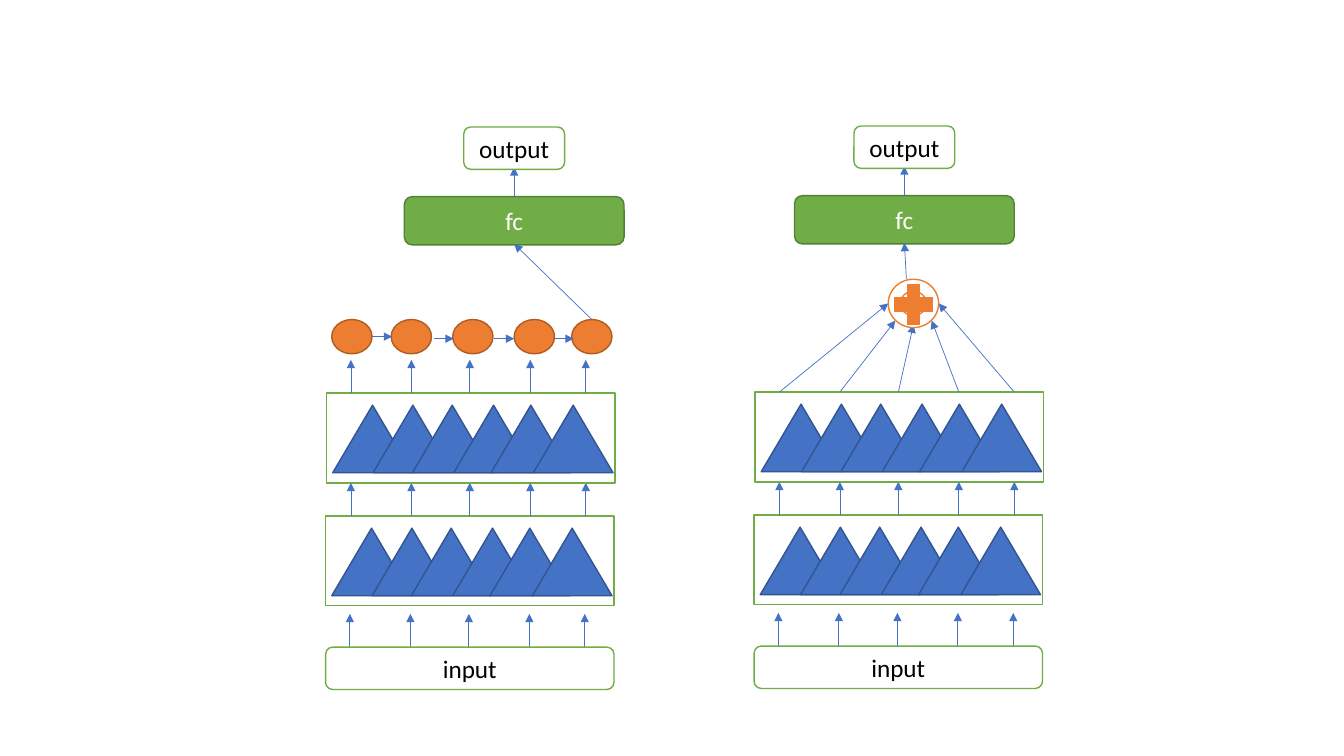
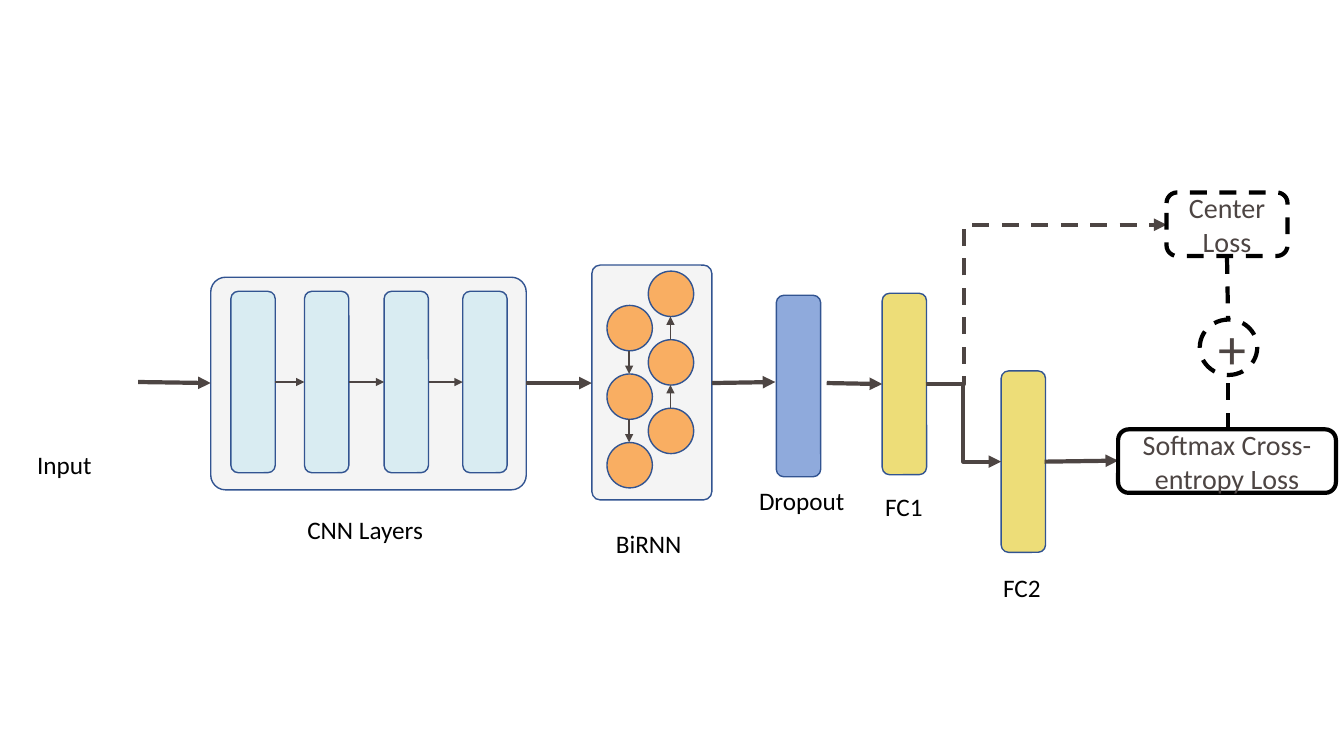
from dataclasses import dataclass
from itertools import pairwise
from typing import NamedTuple, Optional

from lxml import etree
from pptx import Presentation
from pptx import util as u
from pptx.dml.color import RGBColor
from pptx.enum import dml, shapes, text
from pptx.oxml import ns

KIND = shapes.MSO_SHAPE


class Stroke(NamedTuple):
    colour: str
    width: float = 1
    dashed: bool = False


class Look(NamedTuple):
    fill: Optional[str]
    stroke: Stroke


class Lettering(NamedTuple):
    size: int
    colour: str


class Area(NamedTuple):
    left: float
    top: float
    width: float
    height: float


class Point(NamedTuple):
    x: float
    y: float


@dataclass(frozen=True)
class Theme:
    font: str = "Calibri"
    plain: Lettering = Lettering(18, "000000")
    inverse: Lettering = Lettering(18, "FFFFFF")
    loss: Lettering = Lettering(20, "4D4543")
    symbol: Lettering = Lettering(40, "4D4543")
    frame: Look = Look("FFFFFF", Stroke("70AD47"))
    dense: Look = Look("70AD47", Stroke("538035"))
    kernel: Look = Look("4472C4", Stroke("325491"))
    cell: Look = Look("ED7D31", Stroke("AF5C24"))
    ring: Look = Look("FFFFFF", Stroke("ED7D31"))
    plus: Look = Look("ED7D31", Stroke("ED7D31"))
    group: Look = Look("F4F4F4", Stroke("325491"))
    conv: Look = Look("D9ECF2", Stroke("325491"))
    unit: Look = Look("F9AE62", Stroke("325491"))
    dropout: Look = Look("8FAADC", Stroke("325491"))
    full: Look = Look("EDDD78", Stroke("325491"))
    solid_loss: Look = Look("FFFFFF", Stroke("000000", 3))
    dashed_loss: Look = Look("FFFFFF", Stroke("000000", 3, True))
    sum_ring: Look = Look(None, Stroke("000000", 3, True))
    thin: Stroke = Stroke("4472C4", 0.5)
    inner: Stroke = Stroke("4D4543", 1)
    flow: Stroke = Stroke("4D4543", 3)
    dashed_flow: Stroke = Stroke("4D4543", 3, True)
    join: Stroke = Stroke("000000", 3, True)


THEME = Theme()


@dataclass(frozen=True)
class Tower:
    left: float
    top: float
    head: float


@dataclass(frozen=True)
class Label:
    words: str
    area: Area


TOWERS = (Tower(3.23, 1.26, 5.1), Tower(7.48, 1.25, 8.97))
KERNEL_OFFSETS = (0.06, 0.46, 0.85, 1.26, 1.63, 2.05)
ARROW_OFFSETS = (0.25, 0.85, 1.43, 2.03, 2.58)
FRAME_WIDTH = 2.86
FRAME_HEIGHT = 0.89
UPPER_FRAME = 2.64
LOWER_FRAME = 3.86
INPUT_BOX = 5.16

LABELS = (
    Label("Input", Area(0.27, 4.41, 0.75, 0.4)),
    Label("CNN Layers", Area(2.95, 5.05, 1.36, 0.4)),
    Label("BiRNN", Area(6.01, 5.19, 0.86, 0.4)),
    Label("Dropout", Area(7.43, 4.77, 1.06, 0.4)),
    Label("FC1", Area(8.68, 4.83, 0.58, 0.4)),
    Label("FC2", Area(9.85, 5.63, 0.58, 0.4)),
)


def inches(values) -> list:
    return [u.Inches(value) for value in values]


def apply_stroke(line, stroke: Stroke) -> None:
    line.color.rgb = RGBColor.from_string(stroke.colour)
    line.width = u.Pt(stroke.width)
    if stroke.dashed:
        line.dash_style = dml.MSO_LINE.DASH


def write(frame, words: str, lettering: Lettering) -> None:
    para = frame.paragraphs[0]
    para.text = words
    para.font.name = THEME.font
    para.font.size = u.Pt(lettering.size)
    para.font.color.rgb = RGBColor.from_string(lettering.colour)


def add_box(page, kind, area: Area, look: Look, words: str = "",
            lettering: Lettering = THEME.plain, adjust: Optional[float] = None) -> None:
    box = page.shapes.add_shape(kind, *inches(area))
    box.shadow.inherit = False
    if look.fill is None:
        box.fill.background()
    else:
        box.fill.solid()
        box.fill.fore_color.rgb = RGBColor.from_string(look.fill)
    apply_stroke(box.line, look.stroke)
    if adjust is not None:
        box.adjustments[0] = adjust
    if words:
        write(box.text_frame, words, lettering)
        box.text_frame.vertical_anchor = text.MSO_ANCHOR.MIDDLE
        box.text_frame.paragraphs[0].alignment = text.PP_ALIGN.CENTER


def add_label(page, label: Label) -> None:
    box = page.shapes.add_textbox(*inches(label.area))
    box.text_frame.word_wrap = False
    box.text_frame.auto_size = text.MSO_AUTO_SIZE.SHAPE_TO_FIT_TEXT
    write(box.text_frame, label.words, THEME.plain)


def add_line(page, start: Point, end: Point, stroke: Stroke,
             arrow: bool = True, bend: Optional[float] = None) -> None:
    route = shapes.MSO_CONNECTOR.STRAIGHT if bend is None else shapes.MSO_CONNECTOR.ELBOW
    line = page.shapes.add_connector(route, *inches((*start, *end)))
    apply_stroke(line.line, stroke)
    properties = line.element.spPr
    if arrow:
        outline = properties.find(ns.qn("a:ln"))
        etree.SubElement(outline, ns.qn("a:tailEnd"), type="triangle")
    if bend is not None:
        geometry = properties.find(ns.qn("a:prstGeom"))
        values = geometry.find(ns.qn("a:avLst"))
        if values is None:
            values = etree.SubElement(geometry, ns.qn("a:avLst"))
        etree.SubElement(values, ns.qn("a:gd"), name="adj1", fmla=f"val {round(bend * 100000)}")
    etree.SubElement(properties, ns.qn("a:effectLst"))


def add_kernels(page, left: float, top: float) -> None:
    add_box(page, KIND.RECTANGLE, Area(left, top, FRAME_WIDTH, FRAME_HEIGHT), THEME.frame)
    for offset in KERNEL_OFFSETS:
        add_box(page, KIND.ISOSCELES_TRIANGLE, Area(left + offset, top + 0.12, 0.79, 0.67),
                THEME.kernel)


def add_risers(page, left: float, bottom: float) -> None:
    for offset in ARROW_OFFSETS:
        add_line(page, Point(left + offset, bottom), Point(left + offset, bottom - 0.33),
                 THEME.thin)


def add_tower(page, tower: Tower) -> None:
    left, top, head = tower.left, tower.top, tower.head
    add_kernels(page, left, top + LOWER_FRAME)
    add_risers(page, left, top + LOWER_FRAME)
    add_kernels(page, left + 0.01, top + UPPER_FRAME)
    add_risers(page, left - 0.01, top + INPUT_BOX)
    add_box(page, KIND.ROUNDED_RECTANGLE, Area(left, top + INPUT_BOX, FRAME_WIDTH, 0.42),
            THEME.frame, "input")
    add_box(page, KIND.ROUNDED_RECTANGLE, Area(head - 1.09, top + 0.69, 2.18, 0.48),
            THEME.dense, "fc", THEME.inverse)
    add_line(page, Point(head, top + 0.69), Point(head, top + 0.4), THEME.thin)
    add_box(page, KIND.ROUNDED_RECTANGLE, Area(head - 0.5, top, 1, 0.42),
            THEME.frame, "output")


def add_recurrent_top(page, tower: Tower) -> None:
    add_risers(page, tower.left, tower.top + UPPER_FRAME)
    for left in (3.29, 3.88, 4.49, 5.1, 5.67):
        add_box(page, KIND.OVAL, Area(left, 3.17, 0.4, 0.34), THEME.cell)
    for left, middle in ((3.69, 3.34), (4.3, 3.36), (4.9, 3.36), (5.49, 3.36)):
        add_line(page, Point(left, middle), Point(left + 0.2, middle), THEME.thin)
    add_line(page, Point(5.87, 3.17), Point(tower.head, 2.42), THEME.thin)


def add_summed_top(page, tower: Tower) -> None:
    targets = (Point(8.81, 3.01), Point(8.88, 3.18), Point(9.06, 3.22),
               Point(9.24, 3.18), Point(9.31, 3.01))
    for offset, target in zip(ARROW_OFFSETS, targets):
        add_line(page, Point(tower.left + offset, tower.top + UPPER_FRAME), target, THEME.thin)
    add_box(page, KIND.DONUT, Area(8.81, 2.77, 0.5, 0.48), THEME.ring)
    add_box(page, KIND.CROSS, Area(8.87, 2.82, 0.38, 0.4), THEME.plus, adjust=0.34)
    add_line(page, Point(8.99, 2.77), Point(tower.head, 2.41), THEME.thin)


def draw_towers(page) -> None:
    for tower, add_top in zip(TOWERS, (add_recurrent_top, add_summed_top)):
        add_tower(page, tower)
        add_top(page, tower)


def add_layer(page, left: float, top: float, look: Look) -> None:
    add_box(page, KIND.ROUNDED_RECTANGLE, Area(left, top, 0.44, 1.8), look)


def add_cnn(page) -> None:
    add_box(page, KIND.ROUNDED_RECTANGLE, Area(2.09, 2.75, 3.13, 2.11), THEME.group, adjust=0.07)
    lefts = (2.29, 3.02, 3.81, 4.59)
    for left in lefts:
        add_layer(page, left, 2.89, THEME.conv)
    for left, following in pairwise(lefts):
        add_line(page, Point(left + 0.44, 3.79), Point(following, 3.79), THEME.inner)


def add_birnn(page) -> None:
    add_box(page, KIND.ROUNDED_RECTANGLE, Area(5.87, 2.63, 1.19, 2.33), THEME.group, adjust=0.07)
    size, step = 0.45, 0.68
    for left, top, downward in ((6.02, 3.03, True), (6.43, 2.69, False)):
        tops = [top + step * row for row in range(3)]
        for unit_top in tops:
            add_box(page, KIND.OVAL, Area(left, unit_top, size, size), THEME.unit)
        for upper, lower in pairwise(tops):
            ends = (Point(left + 0.22, upper + size), Point(left + 0.22, lower))
            start, end = ends if downward else ends[::-1]
            add_line(page, start, end, THEME.inner)


def add_losses(page) -> None:
    add_box(page, KIND.ROUNDED_RECTANGLE, Area(11.57, 1.91, 1.2, 0.63),
            THEME.dashed_loss, "Center Loss", THEME.loss)
    add_box(page, KIND.ROUNDED_RECTANGLE, Area(11.09, 4.26, 2.16, 0.63),
            THEME.solid_loss, "Softmax Cross-entropy Loss", THEME.loss)
    add_line(page, Point(12.18, 4.26), Point(12.18, 3.72), THEME.join, arrow=False)
    add_line(page, Point(12.17, 2.55), Point(12.18, 3.17), THEME.join, arrow=False)
    add_box(page, KIND.OVAL, Area(11.9, 3.17, 0.57, 0.55), THEME.sum_ring, "+", THEME.symbol)


def draw_network(page) -> None:
    add_cnn(page)
    add_birnn(page)
    add_layer(page, 7.7, 2.93, THEME.dropout)
    add_layer(page, 8.75, 2.91, THEME.full)
    add_layer(page, 9.93, 3.68, THEME.full)
    for start, end in (
        (Point(1.37, 3.79), Point(2.09, 3.8)),
        (Point(5.22, 3.8), Point(5.87, 3.8)),
        (Point(7.06, 3.8), Point(7.69, 3.79)),
        (Point(8.2, 3.8), Point(8.75, 3.81)),
        (Point(10.36, 4.58), Point(11.09, 4.57)),
    ):
        add_line(page, start, end, THEME.flow)
    branch = Point(9.18, 3.81)
    add_line(page, branch, Point(9.93, 4.58), THEME.flow, bend=0.5)
    add_line(page, branch, Point(11.57, 2.23), THEME.dashed_flow, bend=0.16)
    add_losses(page)
    for label in LABELS:
        add_label(page, label)


def main() -> None:
    deck = Presentation()
    deck.slide_width, deck.slide_height = u.Inches(13.33), u.Inches(7.5)
    for draw in (draw_towers, draw_network):
        draw(deck.slides.add_slide(deck.slide_layouts[6]))
    deck.save("out.pptx")


if __name__ == "__main__":
    main()
